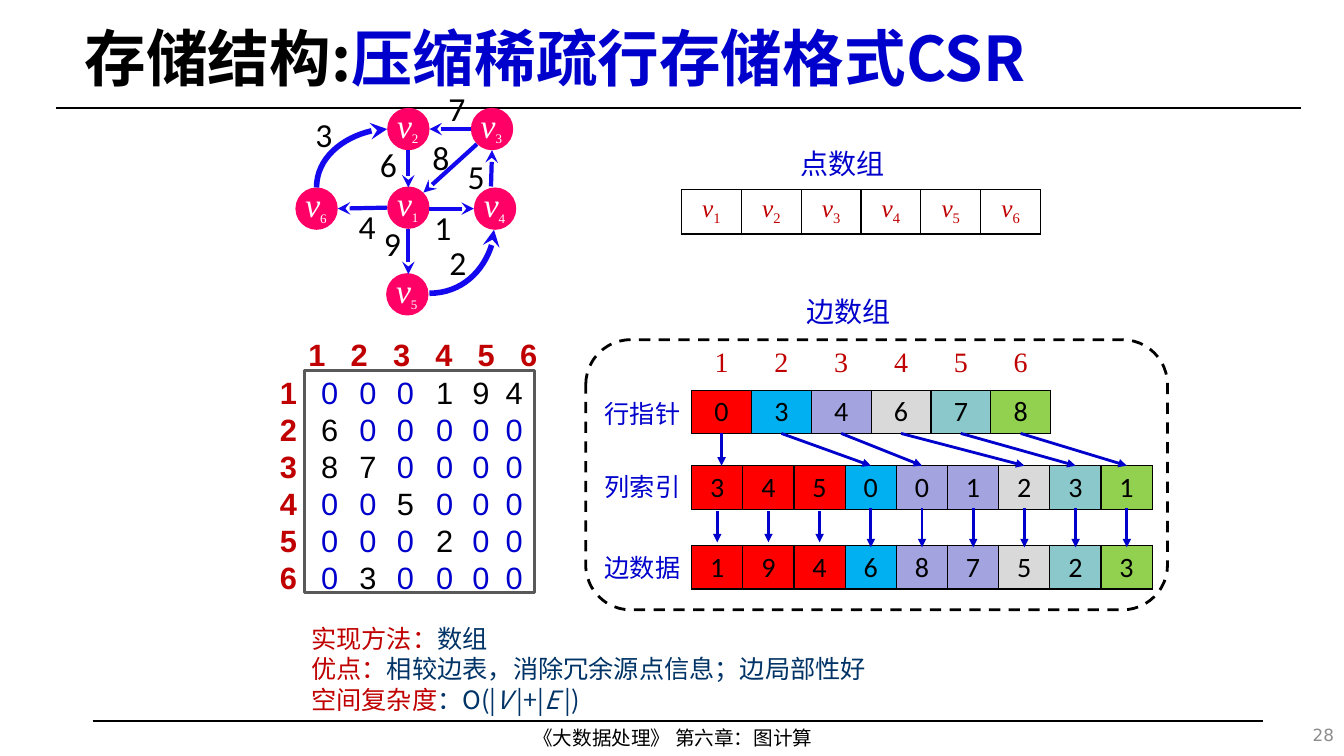
from dataclasses import dataclass
from lxml.etree import SubElement
from pptx import Presentation
from pptx.dml.color import RGBColor
from pptx.enum.dml import MSO_LINE
from pptx.enum.shapes import MSO_CONNECTOR as Link, MSO_SHAPE as Preset
from pptx.enum.text import MSO_ANCHOR as Anchor, PP_ALIGN as Align
from pptx.oxml.ns import qn
from pptx.util import Inches, Pt


@dataclass(frozen=True)
class Style:
    font: str
    size: int
    color: str
    bold: bool = False
    leading: float = None


class Theme:
    blue, red, navy, black, white = "0000CC", "C00000", "003366", "000000", "FFFFFF"
    node, edge, frame = "FF0066", "1308EE", "595959"
    rows = ["FF0000", "00B0F0", "A3A3E0", "D9D9D9", "8AC8CB", "92D050"]
    cjk, serif = "Noto Sans CJK SC", "Times New Roman"
    title = Style(cjk, 44, black, True, 0.9)
    footer = Style(cjk, 14, black, leading=Pt(16.9))
    heading = Style(cjk, 20, blue, leading=Pt(24.2))
    label = Style(cjk, 18, blue, leading=Pt(21.8))
    note = Style(cjk, 18, navy, leading=Pt(21.8))
    page = Style("DejaVu Sans", 12, "8C8C8C")
    weight = Style("Calibri", 24, black)
    vertex = Style(serif, 24, white)
    vertex_cell = Style(serif, 18, red)
    index = Style(serif, 20, red)
    cell = Style("Calibri", 20, black)
    axis = Style("Arial", 22, red, True, Pt(26.4))
    zero = Style("Arial", 22, blue, leading=Pt(26.4))
    value = Style("Arial", 22, black, leading=Pt(26.4))


RED, ITALIC = {"color": Theme.red}, {"italic": True}
title = [("存储结构:", {}), ("压缩稀疏行存储格式CSR", {"color": Theme.blue})]
notes = [
    [("实现方法：", RED), ("数组", {})],
    [("优点：", RED), ("相较边表，消除冗余源点信息；边局部性好", {})],
    [("空间复杂度", RED), ("：O(|", {}), ("V ", ITALIC), ("|+|", {}), ("E ", ITALIC), ("|)", {})],
]
nodes = {1: (3.84, 1.85), 2: (3.84, 1.07), 3: (4.67, 1.07),
         4: (4.7, 1.86), 5: (3.83, 2.71), 6: (2.93, 1.86)}
straight_edges = [
    (3.84, 2.06, 3.35, 2.07), (4.05, 2.27, 4.05, 2.72), (4.25, 2.07, 4.7, 2.07),
    (4.05, 1.49, 4.05, 1.86), (4.87, 1.85, 4.88, 1.49), (4.67, 1.28, 4.26, 1.28),
    (4.73, 1.43, 4.2, 1.91),
]
weights = {"3": (3.03, 1.08), "4": (3.46, 1.99), "9": (3.71, 2.16),
           "6": (3.67, 1.38), "7": (4.35, 0.82), "8": (4.19, 1.31),
           "5": (4.54, 1.5), "2": (4.36, 2.35), "1": (4.21, 2)}
matrix = ["000194", "600000", "870000", "005000", "000200", "030000"]
matrix_columns = [3.1, 3.48, 3.85, 4.24, 4.6, 4.93]
pointers = [0, 3, 4, 6, 7, 8]
column_indices = "345001231"
edge_data = "194687523"
row_labels = {"行指针": 3.9, "列索引": 4.62, "边数据": 5.43}
headings = {"点数组": (6.96, 1.4), "边数组": (7.02, 2.87)}
ids = "123456"

ARRAY_LEFT, POINTER_WIDTH, EDGE_WIDTH, ROW_HEIGHT = 6.86, 3.56, 4.57, 0.43
DIAMETER, AXIS_PITCH = 0.42, 0.42

deck = Presentation()
deck.slide_width, deck.slide_height = Inches(13.33), Inches(7.5)
slide = deck.slides.add_slide(deck.slide_layouts[6])
shapes = slide.shapes


def rgb(color):
    return RGBColor.from_string(color)


def box(*lengths):
    return [Inches(length) for length in lengths]


def write(paragraph, content, style, align=Align.LEFT):
    paragraph.alignment = align
    if style.leading:
        paragraph.line_spacing = style.leading
    font = paragraph.font
    font.size, font.bold, font.name = Pt(style.size), style.bold, style.font
    font.color.rgb = rgb(style.color)
    SubElement(font._element, qn("a:ea"), typeface=style.font)
    for words, look in [(content, {})] if isinstance(content, str) else content:
        run = paragraph.add_run()
        run.text = words
        if "color" in look:
            run.font.color.rgb = rgb(look["color"])
        if "italic" in look:
            run.font.italic = True
        if "sub" in look:
            run.font.size = Pt(look["sub"])
            run._r.get_or_add_rPr().set("baseline", "-25000")


def text(at, lines, style, align=Align.LEFT, anchor=Anchor.TOP, wrap=True, side=0.1):
    frame = shapes.add_textbox(*box(*at)).text_frame
    frame.word_wrap, frame.vertical_anchor = wrap, anchor
    frame.margin_left = frame.margin_right = Inches(side)
    styles = style if isinstance(style, list) else [style] * len(lines)
    for number, (line, look) in enumerate(zip(lines, styles)):
        paragraph = frame.add_paragraph() if number else frame.paragraphs[0]
        write(paragraph, line, look, align)
    return frame


def outline(preset, at, fill=None, line=None, width=2):
    shape = shapes.add_shape(preset, *box(*at))
    shape.shadow.inherit = False
    if fill:
        shape.fill.solid()
        shape.fill.fore_color.rgb = rgb(fill)
    else:
        shape.fill.background()
    if line:
        shape.line.color.rgb, shape.line.width = rgb(line), Pt(width)
    else:
        shape.line.fill.background()
    return shape


def link(ends, color, width, arrow=None, end="tailEnd", curved=False):
    line = shapes.add_connector(Link.CURVE if curved else Link.STRAIGHT, *box(*ends))
    line.line.color.rgb, line.line.width = rgb(color), Pt(width)
    properties = line._element.spPr
    if curved:
        properties.find(qn("a:prstGeom")).set("prst", "curvedConnector2")
    if arrow:
        SubElement(properties.find(qn("a:ln")), qn(f"a:{end}"), type=arrow)
    SubElement(properties, qn("a:effectLst"))


def array(left, top, width, height, entries, style, fills=None, border=True):
    table = shapes.add_table(1, len(entries), *box(left, top, width, height)).table
    table.first_row = table.horz_banding = False
    style_id = table._tbl.tblPr.find(qn("a:tableStyleId"))
    style_id.text = "{2D5ABB26-0587-4C30-8999-92F81FD0307C}"
    for column, entry in enumerate(entries):
        cell = table.cell(0, column)
        write(cell.text_frame.paragraphs[0], entry, style, Align.CENTER)
        for side in ("lnL", "lnR", "lnT", "lnB") if border else ():
            edge = SubElement(cell._tc.get_or_add_tcPr(), qn(f"a:{side}"), w=str(Pt(1)))
            SubElement(SubElement(edge, qn("a:solidFill")), qn("a:srgbClr"), val=Theme.black)
        if fills:
            cell.fill.solid()
            cell.fill.fore_color.rgb = rgb(fills[column])
        else:
            cell.fill.background()


def vertex(number, size):
    return [("v", ITALIC), (str(number), {"sub": size})]


def center(column, width, count):
    return ARRAY_LEFT + width / count * (column + 0.5)


link((0.56, 1.07, 12.9, 1.07), Theme.black, 1.75)
link((0.92, 7.15, 12.53, 7.15), Theme.black, 1.25)
text((3.99, 7.15, 5.37, 0.34), ["《大数据处理》 第六章：图计算"], Theme.footer, Align.CENTER)
text((0.74, 0.15, 11.95, 0.92), [title], Theme.title, anchor=Anchor.MIDDLE)

for left, top in nodes.values():
    outline(Preset.OVAL, (left, top, DIAMETER, DIAMETER), Theme.node)
for ends in straight_edges:
    link(ends, Theme.edge, 3, "stealth")
link((3.84, 1.28, 3.14, 1.86), Theme.edge, 4, "stealth", "headEnd", curved=True)
link((4.26, 2.91, 4.9, 2.28), Theme.edge, 4, "stealth", curved=True)
for weight, (left, top) in weights.items():
    text((left, top, 0.37, 0.51), [weight], Theme.weight, wrap=False)
for number, (left, top) in nodes.items():
    text((left, top - 0.08, 0.43, 0.51), [vertex(number, 16)], Theme.vertex, wrap=False)

text((2.99, 6.13, 6.6, 1.01), notes, Theme.note)

outline(Preset.RECTANGLE, (3.02, 3.68, 2.28, 2.2), line=Theme.frame)
text((2.69, 3.66, 0.34, 2.2), list(ids), Theme.axis, Align.CENTER, side=0)
axis = text((2.96, 3.28, 2.6, 0.29), [""], Theme.axis)
tabs = SubElement(axis.paragraphs[0]._p.pPr, qn("a:tabLst"))
axis.paragraphs[0]._p.pPr.find(qn("a:defRPr")).addprevious(tabs)
for step in range(1, len(ids)):
    SubElement(tabs, qn("a:tab"), pos=str(Inches(AXIS_PITCH * step)), algn="l")
axis.paragraphs[0].runs[0].text = "\t".join(ids)
for left, column in zip(matrix_columns, zip(*matrix)):
    looks = [Theme.zero if entry == "0" else Theme.value for entry in column]
    text((left, 3.66, 0.34, 2.2), column, looks, Align.CENTER, side=0)

owners = [sum(start <= edge for start in pointers) - 1 for edge in range(len(edge_data))]
edge_fills = [Theme.rows[owner] for owner in owners]
array(ARRAY_LEFT, 3.87, POINTER_WIDTH, ROW_HEIGHT, [str(p) for p in pointers], Theme.cell, Theme.rows)
array(ARRAY_LEFT, 3.4, POINTER_WIDTH, ROW_HEIGHT, ids, Theme.index, border=False)
for top, entries in ((4.62, column_indices), (5.41, edge_data)):
    array(ARRAY_LEFT, top, EDGE_WIDTH, ROW_HEIGHT, entries, Theme.cell, edge_fills)
for label, top in row_labels.items():
    text((5.9, top, 0.96, 0.4), [label], Theme.label, wrap=False)

for row, start in enumerate(pointers):
    source = center(row, POINTER_WIDTH, len(pointers))
    target = center(start, EDGE_WIDTH, len(edge_data)) if row else source
    link((source, 4.3, target, 4.62), Theme.blue, 2, "triangle")
for edge, owner in enumerate(owners):
    x = center(edge, EDGE_WIDTH, len(edge_data))
    top, bottom = (5.04, 5.43) if owner else (5.07, 5.38)
    link((x, top, x, bottom), Theme.blue, 2, "triangle")

array(6.76, 1.88, POINTER_WIDTH, 0.41, [vertex(n, 18) for n in ids], Theme.vertex_cell)
outline(Preset.ROUNDED_RECTANGLE, (5.81, 3.37, 5.77, 2.68), line=Theme.black).line.dash_style = MSO_LINE.DASH
for heading, (left, top) in headings.items():
    text((left, top, 2.8, 0.44), [heading], Theme.heading, Align.CENTER)
text((10.33, 7.09, 3, 0.4), ["28"], Theme.page, Align.RIGHT, Anchor.MIDDLE)

deck.save("out.pptx")
